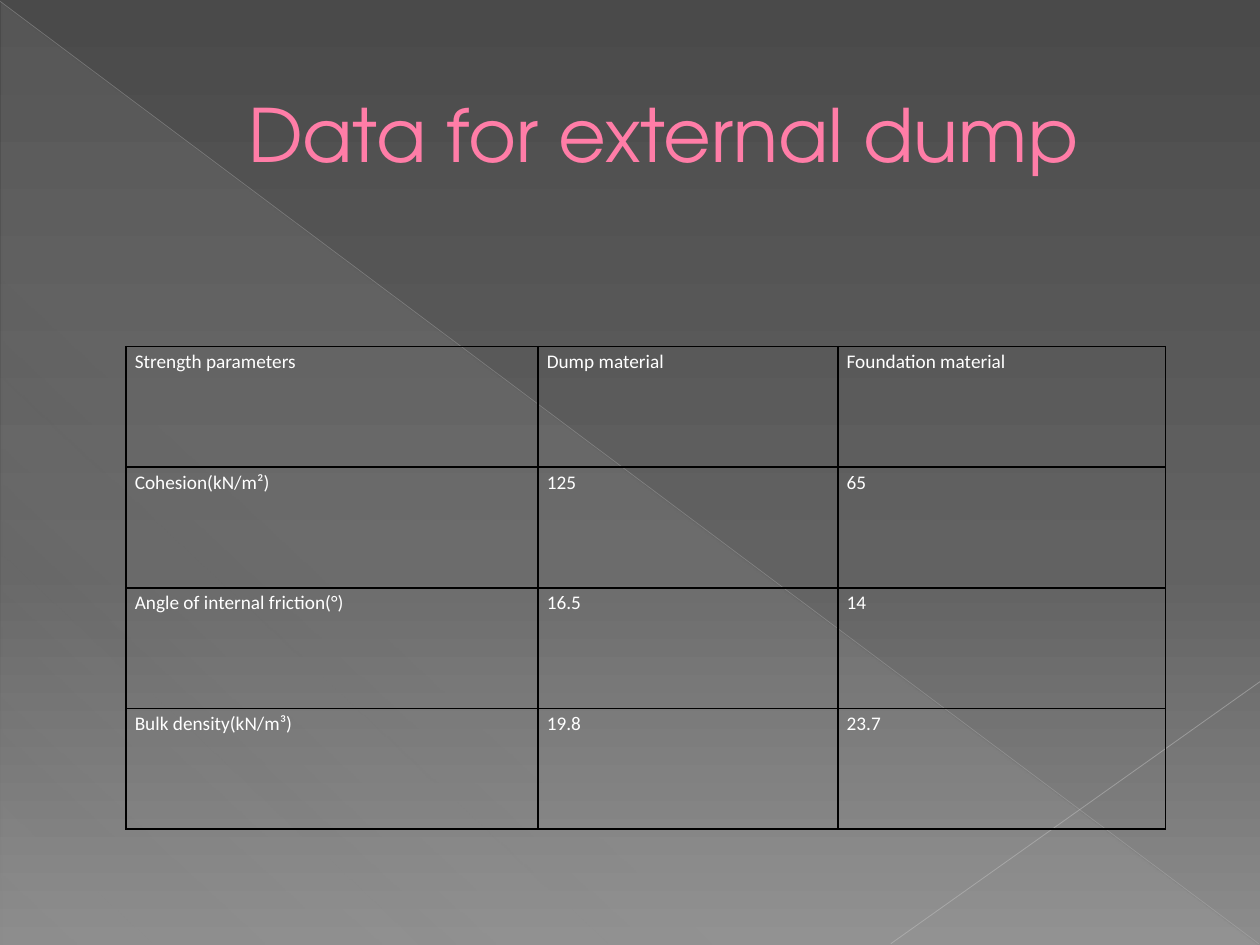
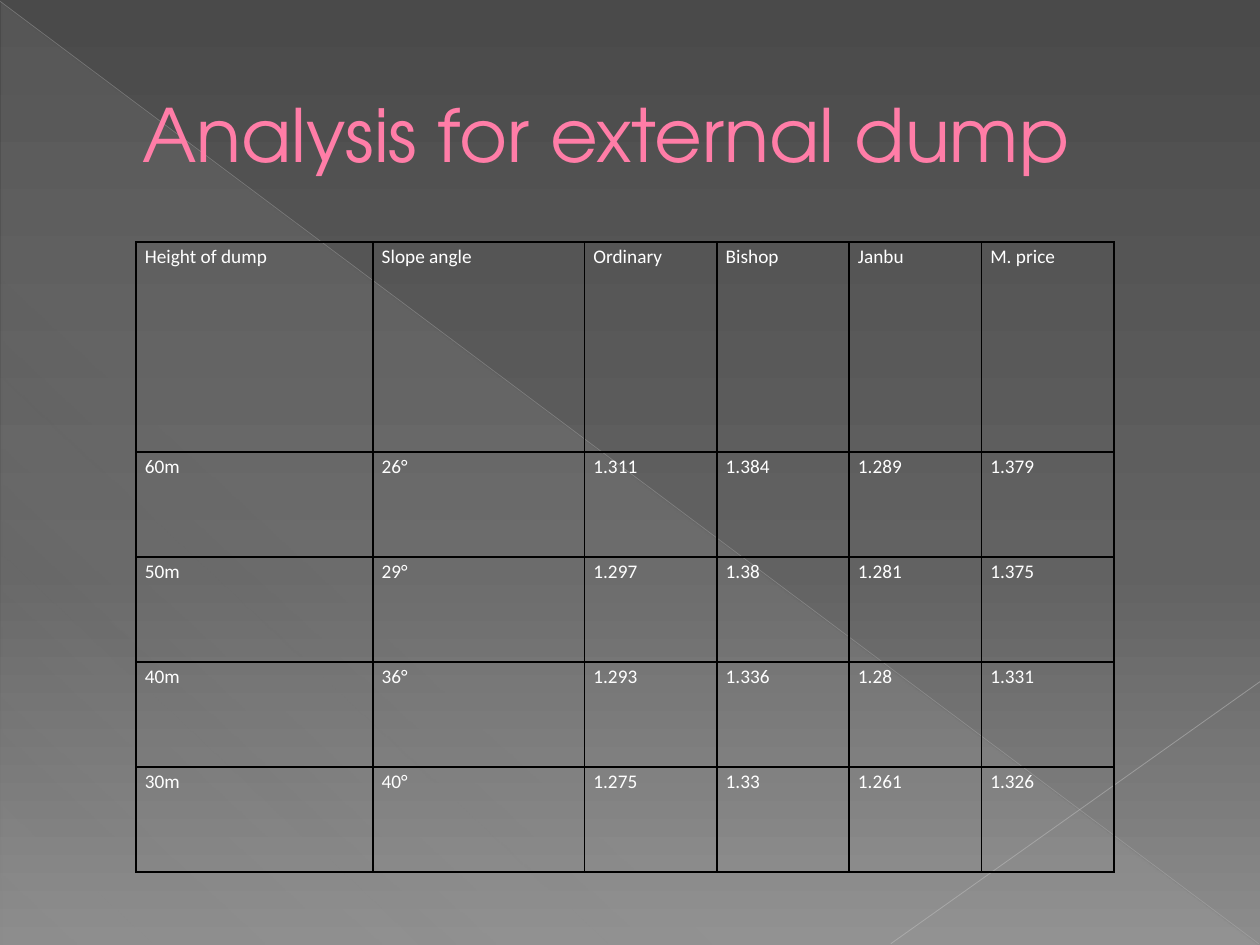
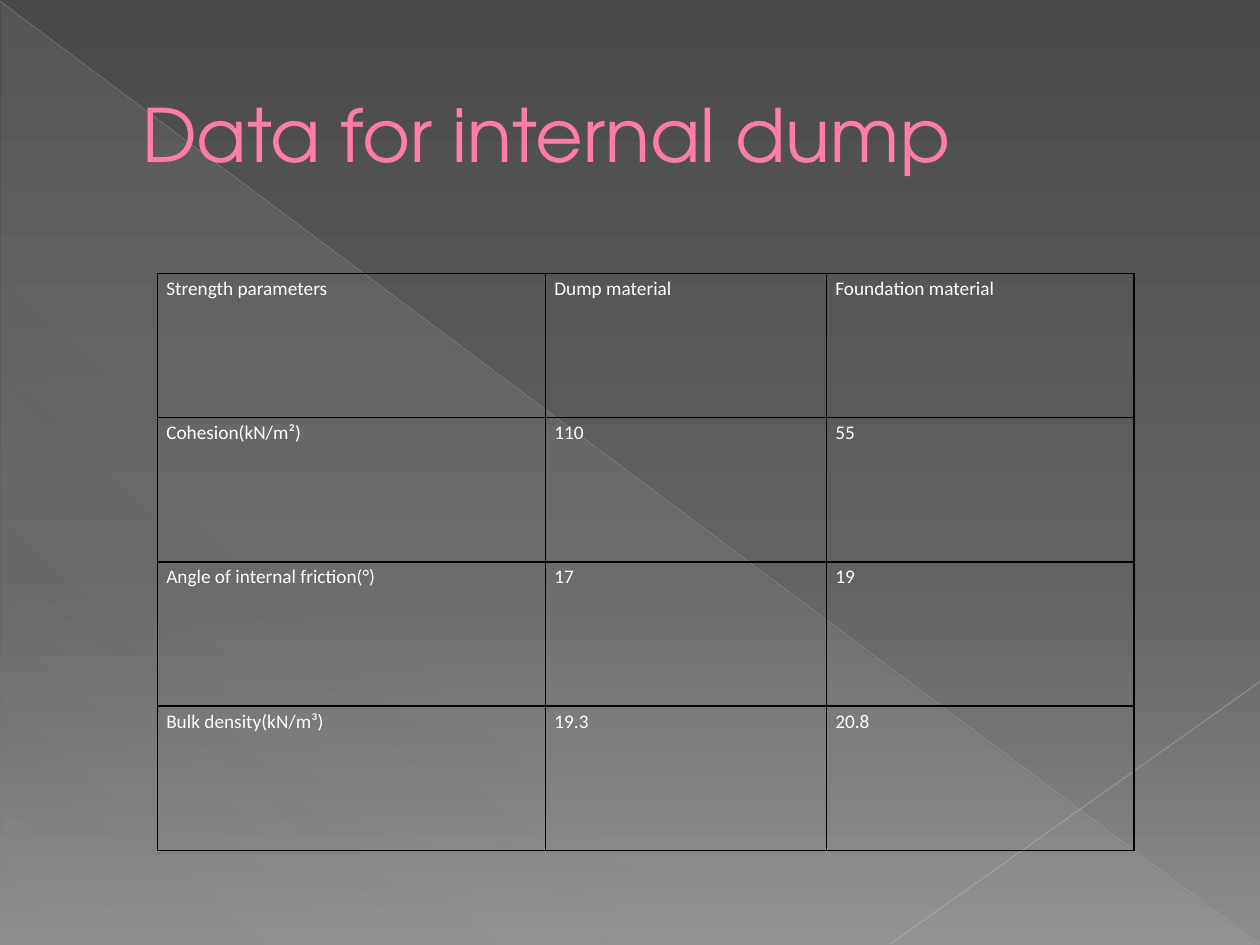
"""Builds three slides of dump stability data and analysis tables."""
from lxml import etree
from pptx import Presentation
from pptx.dml.color import RGBColor
from pptx.enum.shapes import MSO_CONNECTOR, MSO_SHAPE
from pptx.enum.text import MSO_ANCHOR, PP_ALIGN
from pptx.oxml.ns import qn
from pptx.util import Inches, Pt

STRAIGHT = MSO_CONNECTOR.STRAIGHT
RIGHT_TRIANGLE = MSO_SHAPE.RIGHT_TRIANGLE
MIDDLE = MSO_ANCHOR.MIDDLE
LEFT, CENTER = PP_ALIGN.LEFT, PP_ALIGN.CENTER

TITLE_FONT, TABLE_FONT = "TeX Gyre Adventor", "Calibri"
PINK, DARK_PINK, WHITE, BLACK = "FF7DA7", "B12761", "FFFFFF", "000000"
BACKDROP = [(0, "4A4A4A", 100), (60, "626262", 100), (100, "8C8C8C", 100)]
SHEEN = [(0, "D2D2D2", 10), (70, "D2D2D2", 8), (100, "D2D2D2", 1)]
RAYS = [
    ((0, 0.01), (9.99, 7.49), "BFBFBF", 0.39, 35),
    ((10, 5.41), (7.07, 7.49), "C6C6C6", 0.47, 45),
]

MATERIAL_HEADER = ("Strength parameters", "Dump material", "Foundation material")
SLIDES = [
    {
        "title": "Data for external dump",
        "align": CENTER,
        "corner": (1, 2.75),
        "height": 3.83,
        "row_shares": (1, 1, 1, 1),
        "columns": (3.27, 2.38, 2.6),
        "rows": [
            MATERIAL_HEADER,
            ("Cohesion(kN/m²)", "125", "65"),
            ("Angle of internal friction(°)", "16.5", "14"),
            ("Bulk density(kN/m³)", "19.8", "23.7"),
        ],
    },
    {
        "title": "Analysis for external dump",
        "align": LEFT,
        "corner": (1.08, 1.92),
        "height": 5,
        "row_shares": (2, 1, 1, 1, 1),
        "columns": (1.88, 1.68, 1.05, 1.05, 1.05, 1.05),
        "rows": [
            ("Height of dump", "Slope angle", "Ordinary", "Bishop", "Janbu", "M. price"),
            ("60m", "26°", "1.311", "1.384", "1.289", "1.379"),
            ("50m", "29°", "1.297", "1.38", "1.281", "1.375"),
            ("40m", "36°", "1.293", "1.336", "1.28", "1.331"),
            ("30m", "40°", "1.275", "1.33", "1.261", "1.326"),
        ],
    },
    {
        "title": "Data for internal dump",
        "align": LEFT,
        "corner": (1.25, 2.17),
        "height": 4.58,
        "row_shares": (1, 1, 1, 1),
        "columns": (3.08, 2.23, 2.44),
        "rows": [
            MATERIAL_HEADER,
            ("Cohesion(kN/m²)", "110", "55"),
            ("Angle of internal friction(°)", "17", "19"),
            ("Bulk density(kN/m³)", "19.3", "20.8"),
        ],
    },
]


def rgb(color):
    return RGBColor.from_string(color)


def add_alpha(color_element, percent):
    etree.SubElement(color_element, qn("a:alpha"), val=str(percent * 1000))


def outline(tag, color, points):
    line = etree.Element(qn(tag), w=str(Pt(points)))
    solid = etree.SubElement(line, qn("a:solidFill"))
    etree.SubElement(solid, qn("a:srgbClr"), val=color)
    return line


def set_gradient(fill, element, stops, angle):
    fill.gradient()
    gradient = element.find(".//" + qn("a:gradFill"))
    stop_list = gradient.find(qn("a:gsLst"))
    for stop in list(stop_list):
        stop_list.remove(stop)
    for position, color, opacity in stops:
        stop = etree.SubElement(stop_list, qn("a:gs"), pos=str(position * 1000))
        stop_color = etree.SubElement(stop, qn("a:srgbClr"), val=color)
        if opacity < 100:
            add_alpha(stop_color, opacity)
    gradient.find(qn("a:lin")).set("ang", str(angle * 60000))


def add_backdrop(slide):
    set_gradient(slide.background.fill, slide.element, BACKDROP, 90)
    sheen = slide.shapes.add_shape(
        RIGHT_TRIANGLE, Inches(0.01), Inches(0.02), Inches(9.98), Inches(7.48))
    sheen.shadow.inherit = False
    sheen.line.fill.background()
    set_gradient(sheen.fill, sheen.element, SHEEN, 133)
    for start, end, color, width, opacity in RAYS:
        ray = slide.shapes.add_connector(STRAIGHT, *map(Inches, start + end))
        ray.line.width = Pt(width)
        ray.line.color.rgb = rgb(color)
        properties = ray.element.spPr
        add_alpha(properties.find(".//" + qn("a:srgbClr")), opacity)
        etree.SubElement(properties, qn("a:effectLst"))


def style_font(font, name, size, color):
    font.name = name
    font.size = Pt(size)
    font.bold = False
    font.color.rgb = rgb(color)


def add_title(slide, title, align):
    frame = slide.shapes.add_textbox(
        Inches(0.5), Inches(0.29), Inches(9), Inches(1.53)).text_frame
    frame.word_wrap = True
    frame.vertical_anchor = MIDDLE
    frame.text = title
    paragraph = frame.paragraphs[0]
    paragraph.alignment = align
    indents = paragraph._p.get_or_add_pPr()
    indents.set("marL", str(Inches(0.53)))
    indents.set("indent", "0")
    run = paragraph.runs[0]
    style_font(run.font, TITLE_FONT, 42, PINK)
    run._r.get_or_add_rPr().insert(0, outline("a:ln", DARK_PINK, 0.5))


def fill_cell(cell, value):
    cell.margin_left = cell.margin_right = Inches(0.07)
    cell.margin_top = cell.margin_bottom = 0
    cell.fill.background()
    properties = cell._tc.get_or_add_tcPr()
    for index, side in enumerate(("a:lnL", "a:lnR", "a:lnT", "a:lnB")):
        properties.insert(index, outline(side, BLACK, 1))
    cell.text_frame.text = value
    paragraph = cell.text_frame.paragraphs[0]
    paragraph.line_spacing = 1.15
    paragraph.space_after = Pt(10)
    style_font(paragraph.runs[0].font, TABLE_FONT, 11, WHITE)


def add_data_table(slide, content):
    rows, columns, shares = content["rows"], content["columns"], content["row_shares"]
    left, top = content["corner"]
    table = slide.shapes.add_table(
        len(rows), len(columns), Inches(left), Inches(top),
        Inches(sum(columns)), Inches(content["height"])).table
    table.first_row = table.horz_banding = False
    for column, width in zip(table.columns, columns):
        column.width = Inches(width)
    for row, share, values in zip(table.rows, shares, rows):
        row.height = Inches(content["height"] * share / sum(shares))
        for cell, value in zip(row.cells, values):
            fill_cell(cell, value)


def main():
    deck = Presentation()
    deck.slide_width, deck.slide_height = Inches(10), Inches(7.5)
    for content in SLIDES:
        slide = deck.slides.add_slide(deck.slide_layouts[6])
        add_backdrop(slide)
        add_title(slide, content["title"], content["align"])
        add_data_table(slide, content)
    deck.save("out.pptx")


if __name__ == "__main__":
    main()
